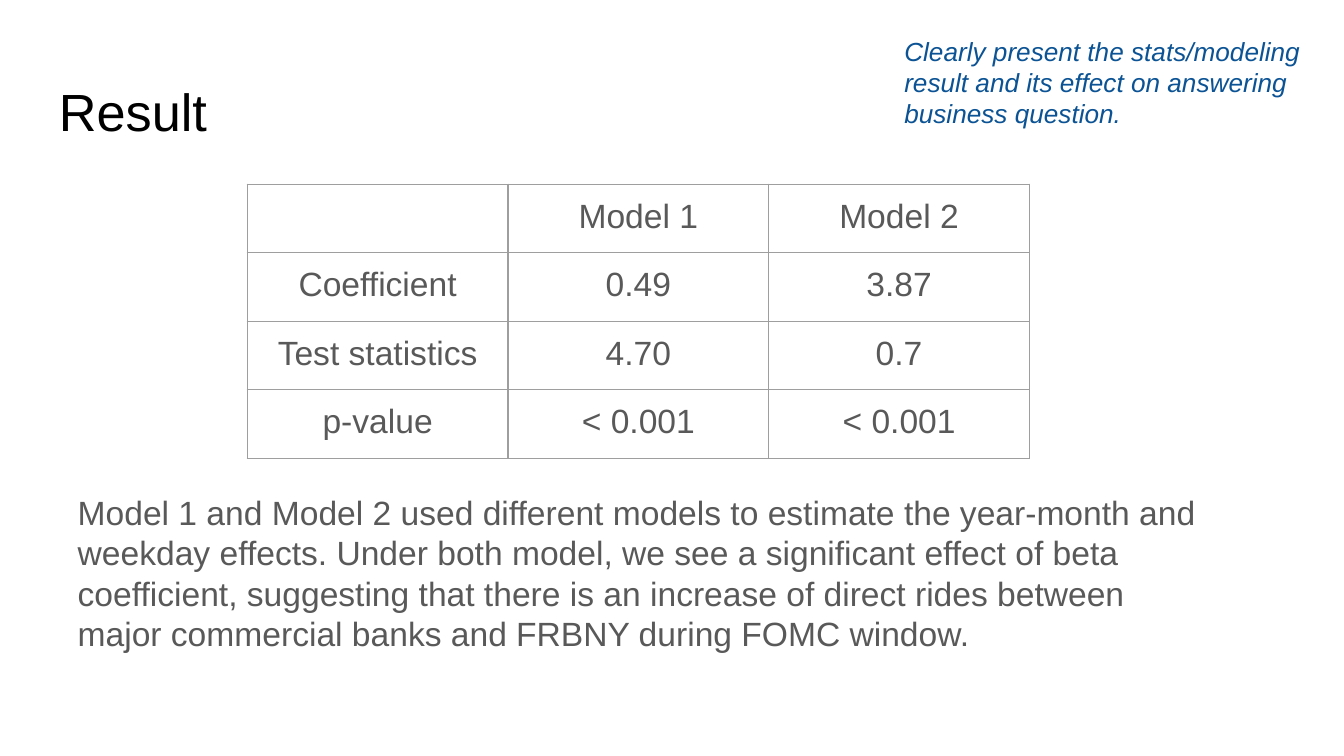
import pptx
import pptx.util
import pptx.dml.color
import pptx.enum.text
import pptx.oxml
from pptx.oxml.ns import nsdecls

Inches = pptx.util.Inches
Pt = pptx.util.Pt
RGBColor = pptx.dml.color.RGBColor

# Content
TITLE = "Result"
ADVICE = ("Clearly present the stats/modeling result and its effect on "
          "answering business question.")
RESULTS = [
    ("", "Model 1", "Model 2"),
    ("Coefficient", "0.49", "3.87"),
    ("Test statistics", "4.70", "0.7"),
    ("p-value", "< 0.001", "< 0.001"),
]
SUMMARY = ("Model 1 and Model 2 used different models to estimate the year-month "
           "and weekday effects. Under both model, we see a significant effect of "
           "beta coefficient, suggesting that there is an increase of direct rides "
           "between major commercial banks and FRBNY during FOMC window.")

# Style
FONT = "Arial"
BLACK = RGBColor(0x00, 0x00, 0x00)
GRAY = RGBColor(0x59, 0x59, 0x59)
BLUE = RGBColor(0x0B, 0x53, 0x94)
BORDER = RGBColor(0x9E, 0x9E, 0x9E)
BORDER_WIDTH = Pt(0.75)
INSET = Inches(0.1)

# Slide in 16:9 and table grid
SLIDE_WIDTH = Inches(10)
SLIDE_HEIGHT = SLIDE_WIDTH * 9 // 16
TABLE_LEFT, TABLE_TOP = 1.84, 1.37
COLUMN_WIDTH, ROW_HEIGHT = 1.94, 0.51


def set_insets(holder):
    holder.margin_left = holder.margin_right = INSET
    holder.margin_top = holder.margin_bottom = INSET


def style_font(font, size, color, italic=False):
    font.name = FONT
    font.size = Pt(size)
    font.color.rgb = color
    font.italic = italic


def add_text(slide, text, box, size, color, italic=False):
    frame = slide.shapes.add_textbox(*map(Inches, box)).text_frame
    frame.word_wrap = True
    set_insets(frame)
    frame.text = text
    style_font(frame.paragraphs[0].runs[0].font, size, color, italic)


def add_borders(cell):
    properties = cell._tc.get_or_add_tcPr()
    for position, side in enumerate(("lnL", "lnR", "lnT", "lnB")):
        properties.insert(position, pptx.oxml.parse_xml(
            f'<a:{side} {nsdecls("a")} w="{BORDER_WIDTH}"><a:solidFill>'
            f'<a:srgbClr val="{BORDER}"/></a:solidFill></a:{side}>'))


def add_results(slide):
    rows, columns = len(RESULTS), len(RESULTS[0])
    table = slide.shapes.add_table(
        rows, columns, Inches(TABLE_LEFT), Inches(TABLE_TOP),
        Inches(COLUMN_WIDTH * columns), Inches(ROW_HEIGHT * rows)).table
    table.first_row = table.horz_banding = False
    for column in table.columns:
        column.width = Inches(COLUMN_WIDTH)
    for row, values in zip(table.rows, RESULTS):
        row.height = Inches(ROW_HEIGHT)
        for cell, value in zip(row.cells, values):
            set_insets(cell)
            cell.fill.background()
            add_borders(cell)
            cell.text_frame.text = value
            paragraph = cell.text_frame.paragraphs[0]
            paragraph.alignment = pptx.enum.text.PP_ALIGN.CENTER
            for run in paragraph.runs:
                style_font(run.font, 18, GRAY)


def main():
    deck = pptx.Presentation()
    deck.slide_width, deck.slide_height = SLIDE_WIDTH, SLIDE_HEIGHT
    slide = deck.slides.add_slide(deck.slide_layouts[6])

    # Heading, results, reading of the results, advice in the corner
    add_text(slide, TITLE, (0.34, 0.49, 9.32, 0.63), 28, BLACK)
    add_results(slide)
    add_text(slide, SUMMARY, (0.48, 3.56, 8.55, 1.69), 18, GRAY)
    add_text(slide, ADVICE, (6.63, 0.16, 3.19, 0.85), 14, BLUE, italic=True)
    deck.save("out.pptx")


if __name__ == "__main__":
    main()
